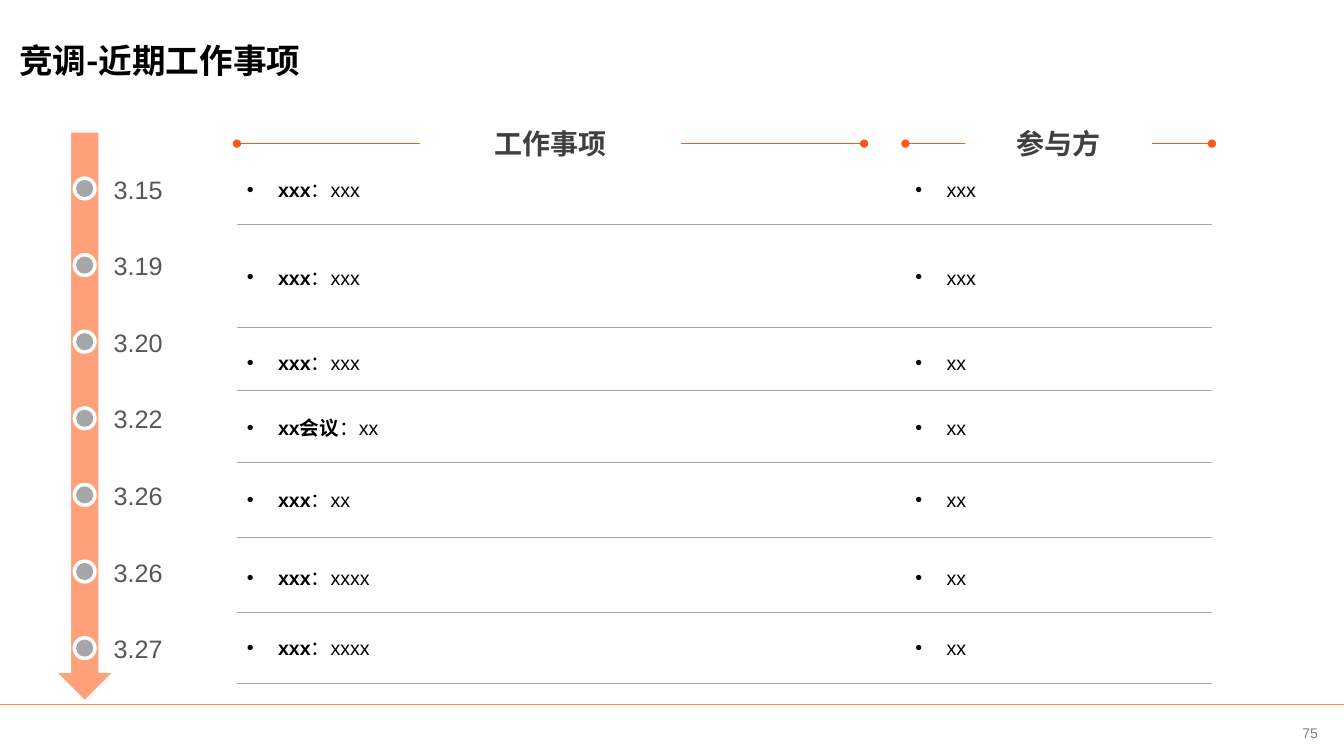
from dataclasses import dataclass
from pptx import Presentation
from pptx.dml.color import RGBColor
from pptx.enum.shapes import MSO_CONNECTOR, MSO_SHAPE
from pptx.enum.text import MSO_ANCHOR, PP_ALIGN
from pptx.oxml.ns import qn
from pptx.util import Inches, Pt
from lxml.etree import SubElement

COLS, ROWS = 13.33, 7.5
CELL = Inches(1)


@dataclass(frozen=True)
class Theme:
    latin: str = "Arial"
    cjk: str = "Noto Sans CJK SC"
    white: str = "FFFFFF"
    black: str = "000000"
    heading: str = "404040"
    date: str = "575757"
    page: str = "808080"
    rule: str = "A6A6A6"
    accent: str = "FE5817"
    footer: str = "FE8637"
    arrow: str = "FEA07A"
    title_size: int = 24
    heading_size: int = 20
    date_size: int = 18
    body_size: int = 14
    page_size: int = 10
    thin: float = 0.75


T = Theme()

ENTRIES = [
    ("3.15", "xxx", "：xxx", "xxx", 0.25, 0.6),
    ("3.19", "xxx", "：xxx", "xxx", 1.12, 1.62),
    ("3.20", "xxx", "：xxx", "xx", 1.97, 2.24),
    ("3.22", "xx会议", "：xx", "xx", 2.61, 2.96),
    ("3.26", "xxx", "：xx", "xx", 3.33, 3.7),
    ("3.26", "xxx", "：xxxx", "xx", 4.1, 4.45),
    ("3.27", "xxx", "：xxxx", "xx", 4.8, 5.15),
]


def cells(*values):
    return [round(v * CELL) for v in values]


def rgb(value):
    return RGBColor.from_string(value)


def write(sp, runs, size, color, align=PP_ALIGN.LEFT, inset=None, bullet=False):
    tf = sp.text_frame
    frame = {"word_wrap": True, "vertical_anchor": MSO_ANCHOR.MIDDLE}
    if inset is not None:
        frame |= {f"margin_{side}": inset for side in ("left", "right", "top", "bottom")}
    for name, value in frame.items():
        setattr(tf, name, value)
    p = tf.paragraphs[0]
    p.alignment = align
    if bullet:
        pPr = p._p.get_or_add_pPr()
        indent = Inches(0.31)
        pPr.set("marL", str(indent))
        pPr.set("indent", str(-indent))
        SubElement(pPr, qn("a:buFont")).set("typeface", T.latin)
        SubElement(pPr, qn("a:buChar")).set("char", "•")
    for text, bold, latin in runs:
        r = p.add_run()
        r.text = text
        for name, value in {"size": Pt(size), "bold": bold, "name": latin}.items():
            setattr(r.font, name, value)
        r.font.color.rgb = rgb(color)
        SubElement(r._r.get_or_add_rPr(), qn("a:ea")).set("typeface", T.cjk)


def add_text(shapes, box, runs, size, color, **layout):
    write(shapes.add_textbox(*cells(*box)), runs, size, color, **layout)


def add_shape(shapes, kind, box, fill, outline=None):
    sp = shapes.add_shape(kind, *cells(*box))
    sp.shadow.inherit = False
    sp.fill.solid()
    sp.fill.fore_color.rgb = rgb(fill)
    if outline:
        sp.line.color.rgb = rgb(outline)
        sp.line.width = Pt(T.thin)
    else:
        sp.line.fill.background()
    return sp


def add_rule(shapes, x, y, w, color, width=T.thin, dots=False):
    line = shapes.add_connector(MSO_CONNECTOR.STRAIGHT, *cells(x, y, x + w, y))
    line.line.color.rgb = rgb(color)
    line.line.width = Pt(width)
    if dots:
        for end in ("headEnd", "tailEnd"):
            SubElement(line.line._get_or_add_ln(), qn(f"a:{end}")).set("type", "oval")
    SubElement(line._element.spPr, qn("a:effectLst"))


def add_footer(shapes, x, y, w, h):
    number_w = 0.67
    add_text(shapes, (x + w - number_w, y + h - 0.46, number_w, 0.46),
             [("75", False, T.latin)], T.page_size, T.page,
             align=PP_ALIGN.CENTER, inset=0)
    add_rule(shapes, x, y, w, T.footer, width=1)


def add_title(shapes, x, y, w, h):
    runs = [("竞调-", True, T.cjk), ("近期工作事项", True, T.latin)]
    add_text(shapes, (x, y, w, h), runs, T.title_size, T.black, inset=0)


def add_heading(shapes, x, y, w, h, text, label_w):
    add_rule(shapes, x, y + h / 2, w, T.accent, dots=True)
    sp = add_shape(shapes, MSO_SHAPE.RECTANGLE,
                   (x + (w - label_w) / 2, y, label_w, h), T.white)
    write(sp, [(text, True, T.latin)], T.heading_size, T.heading,
          align=PP_ALIGN.CENTER, inset=0)


def add_timeline(shapes, x, y, w, h):
    center = x + w / 2
    arrow = add_shape(shapes, MSO_SHAPE.RIGHT_ARROW,
                      (center - h / 2, y + h / 2 - w / 2, h, w), T.arrow, T.white)
    arrow.rotation = 90
    first, pitch = y + 0.56, 0.76
    for i, (date, *_) in enumerate(ENTRIES):
        middle = first + i * pitch
        stop = shapes.add_group_shape().shapes
        for d, color in ((0.24, T.white), (0.17, T.rule)):
            add_shape(stop, MSO_SHAPE.OVAL, (center - d / 2, middle - d / 2, d, d), color)
        add_text(stop, (center + 0.03, middle - 0.08, 1, 0.17),
                 [(date, False, T.latin)], T.date_size, T.date, align=PP_ALIGN.CENTER)


def add_entries(shapes, x, y, w):
    row_h, party_x = 0.5, x + 6.63
    for _, lead, detail, party, top, bottom in ENTRIES:
        items = [(x, 6.34, [(lead, True, T.latin), (detail, False, T.latin)]),
                 (party_x, 3.41, [(party, False, T.latin)])]
        for left, width, runs in items:
            add_text(shapes, (left, y + top, width, row_h), runs,
                     T.body_size, T.black, bullet=True)
        add_rule(shapes, x, y + bottom + 0.25, w, T.rule)


def main():
    prs = Presentation()
    prs.slide_width, prs.slide_height = cells(COLS, ROWS)
    s = prs.slides.add_slide(prs.slide_layouts[6])
    shapes = s.shapes
    add_footer(shapes, 0, 6.99, COLS, ROWS - 6.99)
    add_heading(shapes, 2.35, 1.23, 6.22, 0.39, "工作事项", 2.59)
    add_heading(shapes, 8.98, 1.23, 3.04, 0.39, "参与方", 1.85)
    add_timeline(shapes, 0.56, 1.31, 0.56, 5.64)
    add_entries(shapes, 2.35, 1.38, 9.67)
    add_title(shapes, 0.19, 0.2, 11.96, 0.79)
    prs.save("out.pptx")


if __name__ == "__main__":
    main()
